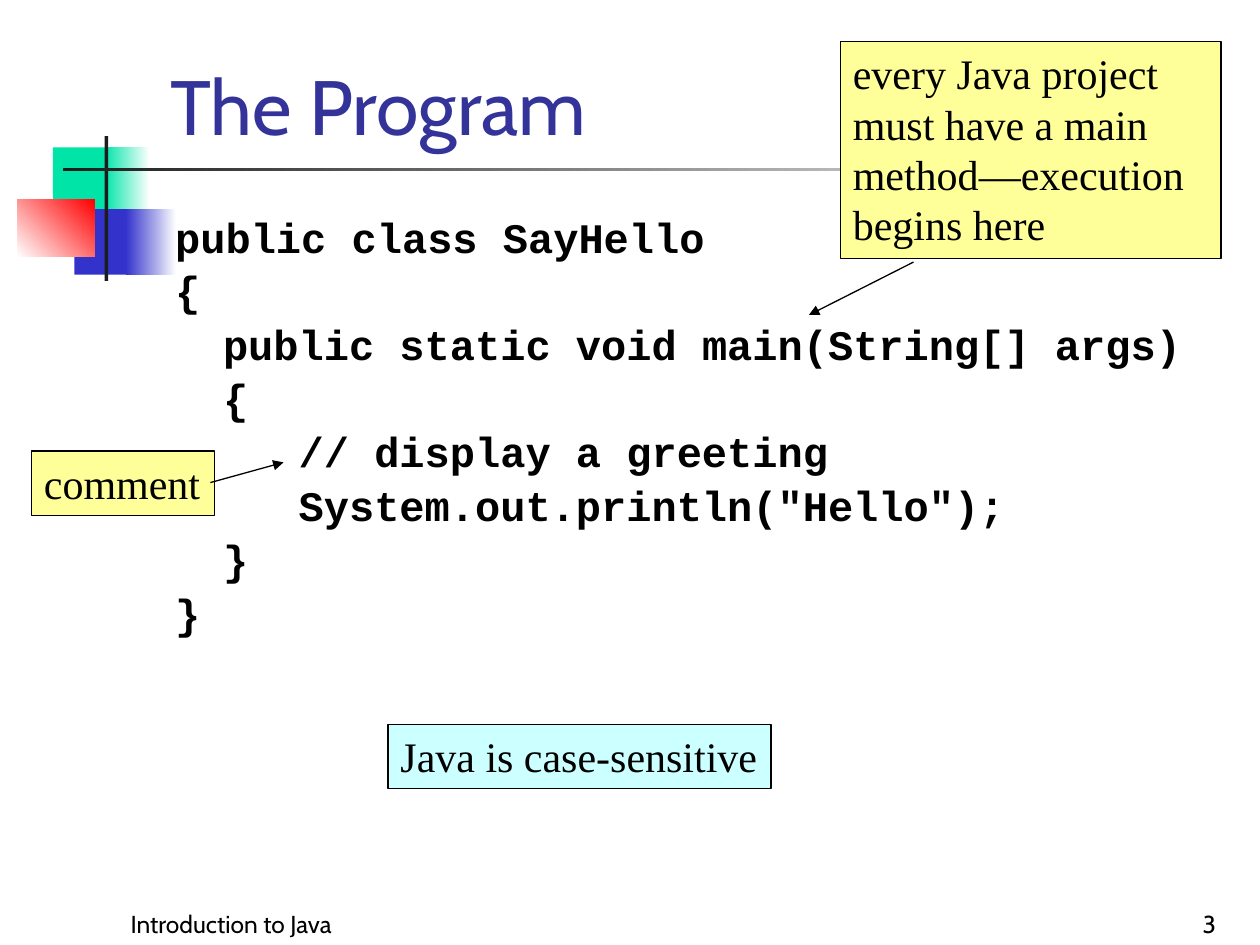
import pptx
import pptx.util
import pptx.dml.color
import pptx.enum.shapes
import pptx.enum.text
import pptx.oxml
import pptx.oxml.ns

Inches = pptx.util.Inches
RGBColor = pptx.dml.color.RGBColor
ALIGN = pptx.enum.text.PP_ALIGN
ANCHOR = pptx.enum.text.MSO_ANCHOR
AUTO = pptx.enum.text.MSO_AUTO_SIZE

BLACK = RGBColor(0x00, 0x00, 0x00)
WHITE = RGBColor(0xFF, 0xFF, 0xFF)
CHARCOAL = RGBColor(0x1C, 0x1C, 0x1C)
GREEN = RGBColor(0x00, 0xE4, 0xA8)
BLUE = RGBColor(0x33, 0x33, 0xCC)
RED = RGBColor(0xFF, 0x00, 0x00)
TITLE_BLUE = RGBColor(0x33, 0x33, 0x99)
YELLOW = RGBColor(0xFF, 0xFF, 0x99)
CYAN = RGBColor(0xCC, 0xFF, 0xFF)

CODE = [
    (0, "public class SayHello"),
    (0, "{"),
    (0.38, "public static void main(String[] args)"),
    (0.38, "{"),
    (0.98, "// display a greeting"),
    (0.98, 'System.out.println("Hello");'),
    (0.38, "}"),
    (0, "}"),
]


def add_run(p, text, size, font, color=BLACK, bold=False):
    r = p.add_run()
    r.text = text
    r.font.size = pptx.util.Pt(size)
    r.font.name = font
    r.font.color.rgb = color
    r.font.bold = bold


def add_rect(s, box, color, end=None, angle=0):
    sp = s.shapes.add_shape(pptx.enum.shapes.MSO_SHAPE.RECTANGLE, *map(Inches, box))
    sp.shadow.inherit = False
    sp.line.fill.background()
    if end is None:
        sp.fill.solid()
        sp.fill.fore_color.rgb = color
    else:
        sp.fill.gradient()
        sp.fill.gradient_angle = angle
        for stop, stop_color in zip(sp.fill.gradient_stops, (color, end)):
            stop.color.rgb = stop_color
    return sp


def add_note(s, box, text, color, wrap=False):
    sp = add_rect(s, box, color)
    sp.line.color.rgb = BLACK
    sp.line.width = pptx.util.Pt(0.75)
    tf = sp.text_frame
    tf.word_wrap = wrap
    tf.auto_size = AUTO.SHAPE_TO_FIT_TEXT
    tf.vertical_anchor = ANCHOR.TOP
    p = tf.paragraphs[0]
    p.alignment = ALIGN.LEFT
    add_run(p, text, 24, "Times New Roman")


def add_arrow(s, start, end):
    line = s.shapes.add_connector(
        pptx.enum.shapes.MSO_CONNECTOR.STRAIGHT, *map(Inches, start + end))
    line.line.color.rgb = BLACK
    line.line.width = pptx.util.Pt(0.75)
    ns = pptx.oxml.ns.nsdecls("a")
    line.line._get_or_add_ln().append(
        pptx.oxml.parse_xml(f'<a:tailEnd {ns} type="triangle"/>'))
    line._element.spPr.append(pptx.oxml.parse_xml(f"<a:effectLst {ns}/>"))


def add_footer(s, box, text, alignment):
    tf = s.shapes.add_textbox(*map(Inches, box)).text_frame
    tf.word_wrap = True
    tf.vertical_anchor = ANCHOR.BOTTOM
    p = tf.paragraphs[0]
    p.alignment = alignment
    add_run(p, text, 14, "Cabin")


def place(sp, box):
    sp.left, sp.top, sp.width, sp.height = map(Inches, box)
    sp.text_frame.auto_size = AUTO.NONE
    return sp.text_frame


def fill_title(s, text):
    tf = place(s.shapes.title, (1.25, 0, 8.52, 1.25))
    tf.vertical_anchor = ANCHOR.BOTTOM
    p = tf.paragraphs[0]
    p.alignment = ALIGN.LEFT
    add_run(p, text, 44, "Cabin", TITLE_BLUE)


def fill_code(s, lines):
    tf = place(s.placeholders[1], (1.29, 1.67, 8.5, 5.04))
    for i, (indent, text) in enumerate(lines):
        p = tf.add_paragraph() if i else tf.paragraphs[0]
        p.line_spacing = 0.9
        pPr = p._p.get_or_add_pPr()
        pPr.set("marL", str(Inches(indent)))
        pPr.set("indent", "0")
        pPr.append(pptx.oxml.parse_xml(f'<a:buNone {pptx.oxml.ns.nsdecls("a")}/>'))
        add_run(p, text, 24, "Courier New", bold=True)


def add_decoration(s):
    add_rect(s, (0.42, 1.17, 0.48, 0.52), GREEN)
    add_rect(s, (0.83, 1.17, 0.36, 0.52), GREEN, WHITE)
    add_rect(s, (0.59, 1.66, 0.46, 0.52), BLUE)
    add_rect(s, (1, 1.66, 0.4, 0.52), BLUE, WHITE)
    add_rect(s, (0.14, 1.58, 0.61, 0.46), WHITE, RED, 45)
    add_rect(s, (0.83, 1.08, 0.03, 1.15), CHARCOAL)
    add_rect(s, (0.5, 1.33, 9, 0.03), CHARCOAL, WHITE)


def main():
    prs = pptx.Presentation()
    prs.slide_width, prs.slide_height = Inches(10), Inches(7.5)
    s = prs.slides.add_slide(prs.slide_layouts[1])
    add_decoration(s)
    for sp in list(s.placeholders):
        s.shapes._spTree.append(sp._element)
    fill_title(s, "The Program")
    fill_code(s, CODE)
    add_footer(s, (0.25, 7, 3.17, 0.5), "Introduction to Java", ALIGN.CENTER)
    add_footer(s, (7.67, 7, 2.08, 0.5), "3", ALIGN.RIGHT)
    add_note(s, (3.08, 5.75, 3.04, 0.51), "Java is case-sensitive", CYAN)
    add_note(s, (6.67, 0.33, 3.02, 1.72),
             "every Java project must have a main method—execution begins here",
             YELLOW, wrap=True)
    add_arrow(s, (7.25, 2.08), (6.42, 2.5))
    add_note(s, (0.25, 3.58, 1.45, 0.51), "comment", YELLOW)
    add_arrow(s, (1.67, 3.83), (2.25, 3.67))
    prs.save("out.pptx")


if __name__ == "__main__":
    main()
